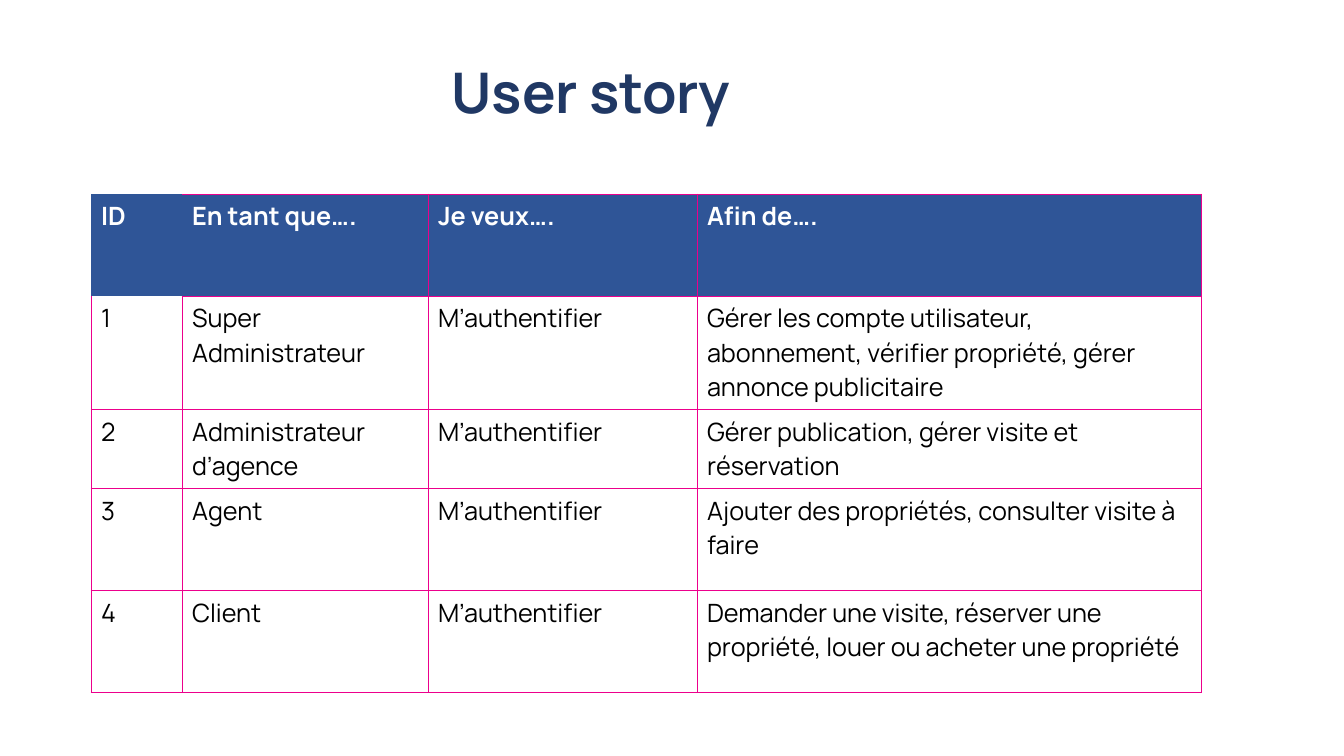
from lxml.etree import SubElement
from pptx import Presentation
from pptx.dml.color import RGBColor
from pptx.enum.text import MSO_ANCHOR, MSO_AUTO_SIZE, PP_ALIGN
from pptx.oxml.ns import qn
from pptx.util import Pt

PX = 914400 / 100.8
COLORS = {"navy": "203864", "blue": "2F5597", "pink": "EC008C", "white": "FFFFFF", "black": "000000"}
FONT = "Manrope"


def px(length):
    return round(length * PX)


def add_text(para, text, size, color, bold):
    span = para.add_run()
    span.text = text
    span.font.name = FONT
    span.font.size = Pt(size)
    span.font.bold = bold
    span.font.color.rgb = RGBColor.from_string(COLORS[color])


deck = Presentation()
deck.slide_width = px(1344)
deck.slide_height = px(756)
page = deck.slides.add_slide(deck.slide_layouts[5])

column_widths = [91, 246, 269, 504]
row_heights = [102, 81, 70, 102, 102]
stories = [
    ["ID", "En tant que….", "Je veux….", "Afin de…."],
    ["1", "Super Administrateur", "M’authentifier",
     "Gérer les compte utilisateur, abonnement, vérifier propriété, gérer annonce publicitaire"],
    ["2", "Administrateur d’agence", "M’authentifier", "Gérer publication, gérer visite et réservation"],
    ["3", "Agent", "M’authentifier", "Ajouter des propriétés, consulter visite à faire"],
    ["4", "Client", "M’authentifier",
     "Demander une visite, réserver une propriété, louer ou acheter une propriété"],
]
open_edges = {(0, 0): ["lnL", "lnR", "lnT", "lnB"], (0, 1): ["lnL"], (1, 0): ["lnT"]}

frame = page.shapes.add_table(
    len(stories), len(column_widths), px(91), px(194), px(sum(column_widths)), px(sum(row_heights)))
table = frame.table
table.horz_banding = False
for column, width in zip(table.columns, column_widths):
    column.width = px(width)
for row, height in zip(table.rows, row_heights):
    row.height = px(height)

for row_index, story in enumerate(stories):
    header = row_index == 0
    for column_index, text in enumerate(story):
        cell = table.cell(row_index, column_index)
        add_text(cell.text_frame.paragraphs[0], text, 18, "white" if header else "black", header)
        properties = cell._tc.get_or_add_tcPr()
        for edge in ["lnL", "lnR", "lnT", "lnB"]:
            line = SubElement(properties, qn(f"a:{edge}"), w=str(Pt(0.5)))
            if edge in open_edges.get((row_index, column_index), []):
                SubElement(line, qn("a:noFill"))
            else:
                SubElement(SubElement(line, qn("a:solidFill")), qn("a:srgbClr"), val=COLORS["pink"])
        if header:
            cell.fill.solid()
            cell.fill.fore_color.rgb = RGBColor.from_string(COLORS["blue"])
        else:
            cell.fill.background()

title = page.shapes.title
title.left, title.top, title.width, title.height = px(167), px(65), px(847), px(51)
box = title.text_frame
box.margin_left = box.margin_top = box.margin_right = box.margin_bottom = 0
box.word_wrap = True
box.auto_size = MSO_AUTO_SIZE.NONE
box.vertical_anchor = MSO_ANCHOR.TOP
para = box.paragraphs[0]
para.alignment = PP_ALIGN.CENTER
para.line_spacing = 0.9
add_text(para, "User story", 40, "navy", True)

deck.save("out.pptx")
